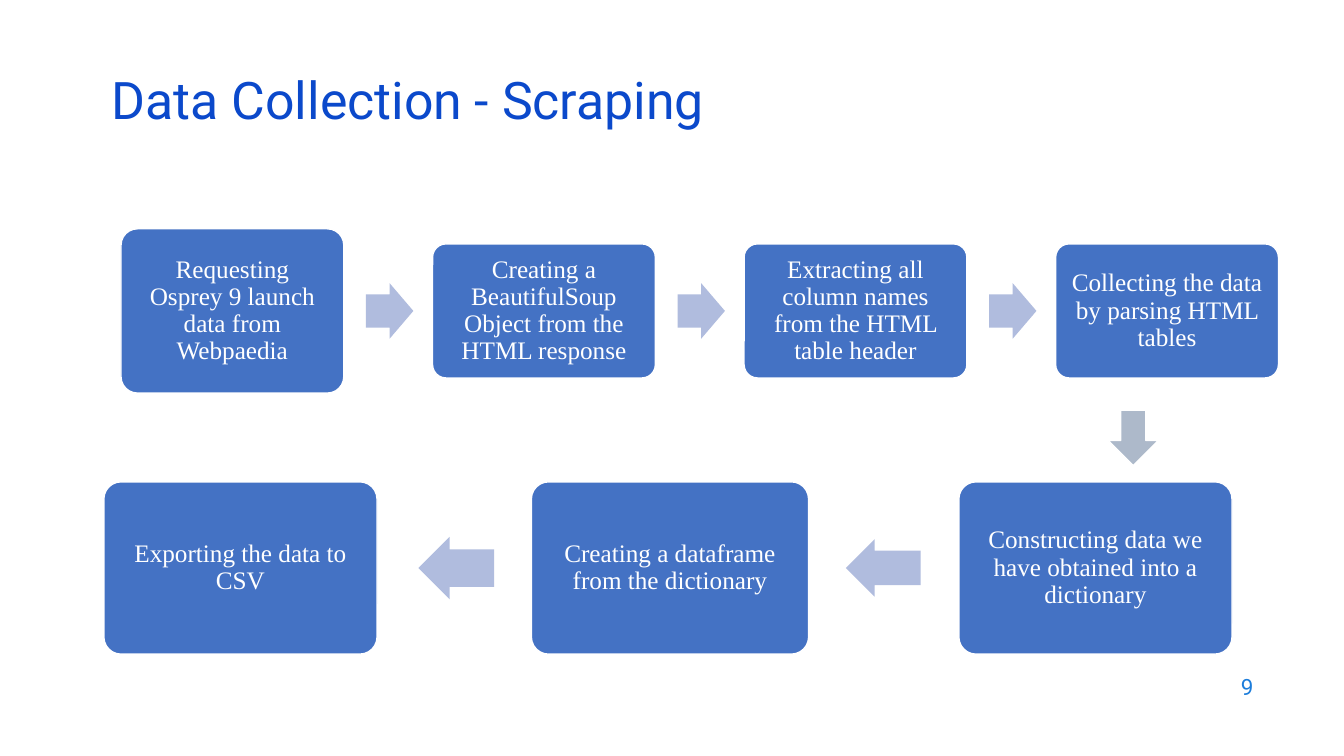
from pptx import Presentation
from pptx.dml.color import RGBColor
from pptx.enum.shapes import MSO_SHAPE
from pptx.enum.text import MSO_ANCHOR, PP_ALIGN
from pptx.util import Inches, Pt

TITLE = "Data Collection - Scraping"
PAGE_NUMBER = "9"
BLUE, PALE_BLUE, GREY_BLUE, WHITE = "4472C4", "B0BCDE", "ADB9CA", "FFFFFF"

# Each step: text, box width, box height
TOP_STEPS = [
    ("Requesting Osprey 9 launch data from Webpaedia", 2.21, 1.63),
    ("Creating a BeautifulSoup Object from the HTML response", 2.21, 1.33),
    ("Extracting all column names from the HTML table header", 2.21, 1.33),
    ("Collecting the data by parsing HTML tables", 2.21, 1.33),
]
BOTTOM_STEPS = [
    ("Exporting the data to CSV", 2.71, 1.71),
    ("Creating a dataframe from the dictionary", 2.75, 1.71),
    ("Constructing data we have obtained into a dictionary", 2.71, 1.71),
]
# Each row: steps, left edge, column pitch, centre line,
# arrow shape, arrow offset from its column, arrow sizes
ROWS = [
    (TOP_STEPS, 1.2, 3.09, 3.085, MSO_SHAPE.RIGHT_ARROW, 2.43, [(0.47, 0.55)] * 3),
    (BOTTOM_STEPS, 1.03, 4.24, 5.635, MSO_SHAPE.LEFT_ARROW, 3.12,
     [(0.75, 0.62), (0.74, 0.57)]),
]


def color(value):
    return RGBColor.from_string(value)


def write(shape, text, size, font_name, font_color, alignment, line_spacing=1.0):
    frame = shape.text_frame
    frame.word_wrap = True
    frame.vertical_anchor = MSO_ANCHOR.MIDDLE
    frame.text = text
    paragraph = frame.paragraphs[0]
    paragraph.alignment = alignment
    paragraph.line_spacing = line_spacing
    font = paragraph.runs[0].font
    font.size = Pt(size)
    font.name = font_name
    font.color.rgb = color(font_color)


def add_label(slide, place, *text_style):
    write(slide.shapes.add_textbox(*map(Inches, place)), *text_style)


def add_block(slide, kind, place, fill, adjustments, outlined=True):
    shape = slide.shapes.add_shape(kind, *map(Inches, place))
    shape.shadow.inherit = False
    for index, value in enumerate(adjustments):
        shape.adjustments[index] = value
    shape.fill.solid()
    shape.fill.fore_color.rgb = color(fill)
    if outlined:
        shape.line.color.rgb = color(WHITE)
        shape.line.width = Pt(1)
    else:
        shape.line.fill.background()
    return shape


def add_step(slide, text, place):
    box = add_block(slide, MSO_SHAPE.ROUNDED_RECTANGLE, place, BLUE, [0.1])
    frame = box.text_frame
    frame.margin_left = frame.margin_right = Inches(0.12)
    frame.margin_top = frame.margin_bottom = Inches(0.11)
    write(box, text, 18, "Times New Roman", WHITE, PP_ALIGN.CENTER, 0.9)


def add_row(slide, steps, left, pitch, middle, arrow_kind, arrow_offset, arrow_sizes):
    for column, (text, width, height) in enumerate(steps):
        add_step(slide, text, (left + column * pitch, middle - height / 2, width, height))
    for column, (width, height) in enumerate(arrow_sizes):
        place = (left + column * pitch + arrow_offset, middle - height / 2, width, height)
        add_block(slide, arrow_kind, place, PALE_BLUE, [0.6, 0.5], outlined=False)


def main():
    presentation = Presentation()
    presentation.slide_width = Inches(13.33)
    presentation.slide_height = Inches(7.5)
    slide = presentation.slides.add_slide(presentation.slide_layouts[6])
    add_label(slide, (9.53, 6.59, 3, 0.44), PAGE_NUMBER, 16, "Roboto", "1C7DDB",
              PP_ALIGN.RIGHT)
    add_label(slide, (1.01, 0.76, 11.5, 0.6), TITLE, 37, "Roboto", "0B49CB",
              PP_ALIGN.LEFT, 0.7)
    for row in ROWS:
        add_row(slide, *row)
    add_block(slide, MSO_SHAPE.DOWN_ARROW, (10.99, 4.07, 0.5, 0.55), GREY_BLUE, [0.5, 0.5])
    presentation.save("out.pptx")


if __name__ == "__main__":
    main()
